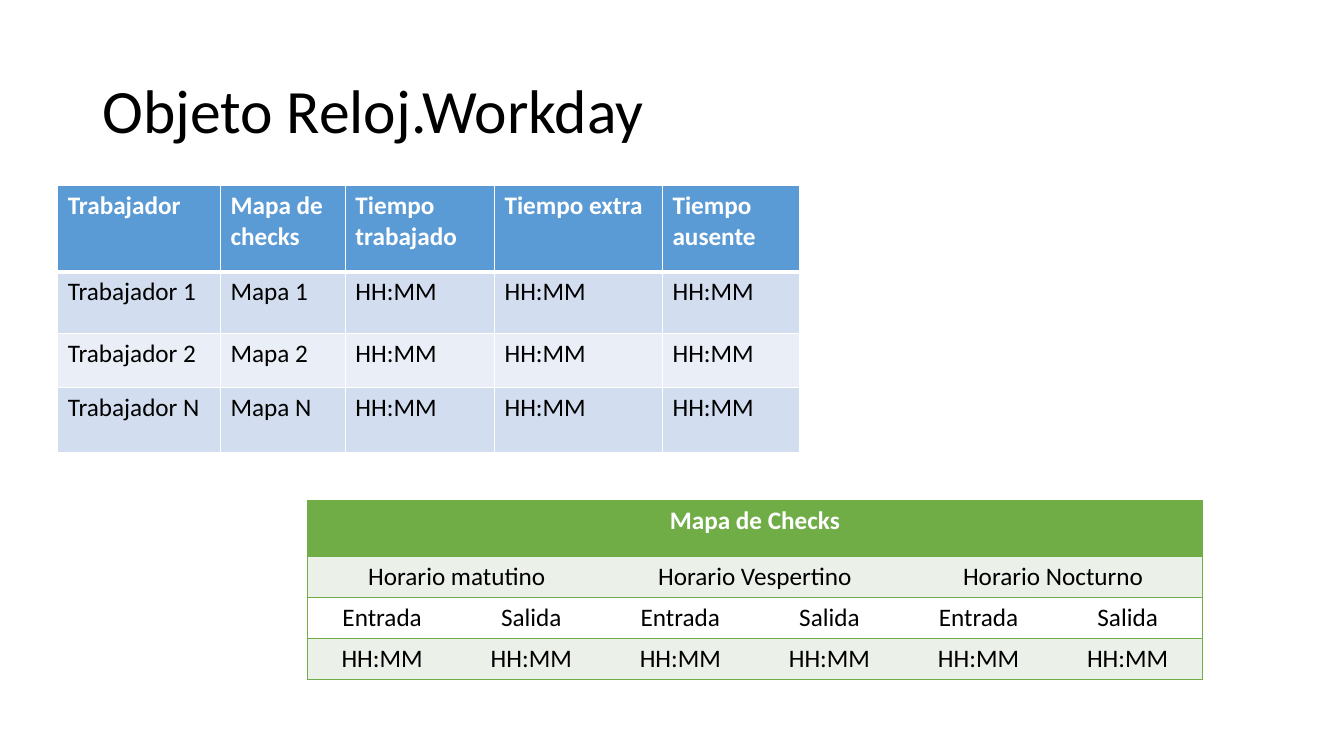
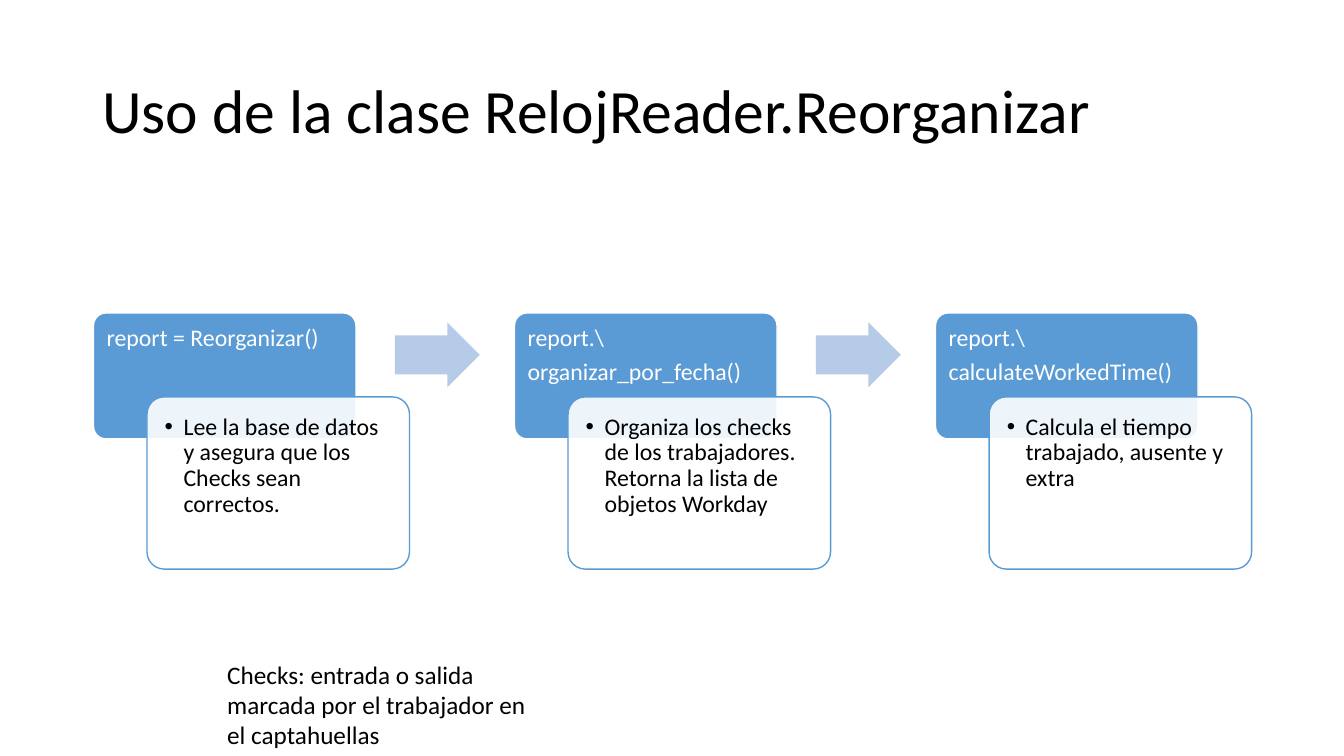
from dataclasses import dataclass
from typing import NamedTuple

from lxml.etree import SubElement
from pptx import Presentation
from pptx.dml.color import RGBColor
from pptx.enum.shapes import MSO_SHAPE
from pptx.enum.text import MSO_ANCHOR, PP_ALIGN
from pptx.oxml.ns import qn
from pptx.shapes.autoshape import Shape
from pptx.slide import Slide
from pptx.table import _Cell
from pptx.text.text import TextFrame
from pptx.util import Emu, Pt

EMU_PER_PX = 9525
FONT = "Calibri"
BLACK, WHITE = "000000", "FFFFFF"
BLUE, BLUE_BAND, BLUE_PALE, ARROW_BLUE = "5B9BD5", "D2DEEF", "EAEFF7", "B5CBE7"
GREEN, GREEN_BAND = "70AD47", "EBF1E9"
TIME = "HH:MM"


class Box(NamedTuple):
    left: int
    top: int
    width: int
    height: int


@dataclass(frozen=True)
class Grid:
    left: int
    top: int
    widths: list[int]
    heights: list[int]
    rows: list[list[str]]
    fills: list[str]
    border: str
    header_rule: int
    inner_verticals: bool
    align: PP_ALIGN


@dataclass(frozen=True)
class Step:
    call: list[str]
    purpose: str


TITLE_BOX = Box(88, 39, 1104, 139)
NOTE_BOX = Box(207, 623, 306, 97)
CALL_BOX = Box(89, 298, 250, 120)
PURPOSE_BOX = Box(140, 378, 250, 164)
ARROW_BOX = Box(376, 307, 81, 62)
STEP_PITCH = 401

WORKDAY = Grid(
    left=55,
    top=177,
    widths=[155, 119, 142, 160, 131],
    heights=[82, 59, 51, 62],
    rows=[["Trabajador", "Mapa de checks", "Tiempo trabajado", "Tiempo extra", "Tiempo ausente"]]
    + [[f"Trabajador {key}", f"Mapa {key}"] + [TIME] * 3 for key in "12N"],
    fills=[BLUE, BLUE_BAND, BLUE_PALE, BLUE_BAND],
    border=WHITE,
    header_rule=3,
    inner_verticals=True,
    align=PP_ALIGN.LEFT,
)
CHECK_MAP = Grid(
    left=293,
    top=477,
    widths=[142] * 6,
    heights=[53] + [39] * 3,
    rows=[
        ["Mapa de Checks"],
        ["Horario matutino", "Horario Vespertino", "Horario Nocturno"],
        ["Entrada", "Salida"] * 3,
        [TIME] * 6,
    ],
    fills=[GREEN, GREEN_BAND, WHITE, GREEN_BAND],
    border=GREEN,
    header_rule=1,
    inner_verticals=False,
    align=PP_ALIGN.CENTER,
)
STEPS = [
    Step(["report = Reorganizar()"], "Lee la base de datos y asegura que los Checks sean correctos."),
    Step(
        ["report.\\", "organizar_por_fecha()"],
        "Organiza los checks de los trabajadores. Retorna la lista de objetos Workday",
    ),
    Step(["report.\\", "calculateWorkedTime()"], "Calcula el tiempo trabajado, ausente y extra"),
]


def px(length: int) -> Emu:
    return Emu(length * EMU_PER_PX)


def rgb(color: str) -> RGBColor:
    return RGBColor.from_string(color)


def place(box: Box) -> list[Emu]:
    return [px(length) for length in box]


def write(
    frame: TextFrame,
    *lines: str,
    size: int = 18,
    color: str = BLACK,
    bold: bool = False,
    align: PP_ALIGN = PP_ALIGN.LEFT,
    anchor: MSO_ANCHOR = MSO_ANCHOR.TOP,
    spacing: float = 1.0,
    after: int = 0,
    inset: int | None = None,
    bullet_indent: int = 0,
) -> None:
    frame.word_wrap = True
    frame.vertical_anchor = anchor
    if inset is not None:
        frame.margin_left = frame.margin_right = px(inset)
        frame.margin_top = frame.margin_bottom = px(inset)
    for index, line in enumerate(lines):
        paragraph = frame.add_paragraph() if index else frame.paragraphs[0]
        paragraph.alignment = align
        paragraph.line_spacing = spacing
        paragraph.space_after = Pt(after)
        if bullet_indent:
            properties = paragraph._p.get_or_add_pPr()
            properties.set("marL", str(px(bullet_indent)))
            properties.set("indent", str(-px(bullet_indent)))
            SubElement(properties, qn("a:buFont"), typeface="Arial")
            SubElement(properties, qn("a:buChar"), char="•")
        run = paragraph.add_run()
        run.text = line
        run.font.name = FONT
        run.font.size = Pt(size)
        run.font.bold = bold
        run.font.color.rgb = rgb(color)


def add_title(slide: Slide, title: str) -> None:
    frame = slide.shapes.add_textbox(*place(TITLE_BOX)).text_frame
    write(frame, title, size=44, anchor=MSO_ANCHOR.MIDDLE, spacing=0.9)


def set_borders(cell: _Cell, color: str, widths: dict[str, int]) -> None:
    properties = cell._tc.get_or_add_tcPr()
    for side in "LRTB":
        width = widths[side]
        line = SubElement(properties, qn(f"a:ln{side}"), w=str(Pt(width)))
        if width:
            SubElement(SubElement(line, qn("a:solidFill")), qn("a:srgbClr"), val=color)
        else:
            SubElement(line, qn("a:noFill"))


def add_grid(slide: Slide, grid: Grid) -> None:
    columns = len(grid.widths)
    box = Box(grid.left, grid.top, sum(grid.widths), sum(grid.heights))
    table = slide.shapes.add_table(len(grid.rows), columns, *place(box)).table
    table.first_row = table.horz_banding = False
    for column, width in zip(table.columns, grid.widths):
        column.width = px(width)
    for row, (labels, height, fill) in enumerate(zip(grid.rows, grid.heights, grid.fills)):
        table.rows[row].height = px(height)
        span = columns // len(labels)
        for position, label in enumerate(labels):
            start = position * span
            cell = table.cell(row, start)
            if span > 1:
                cell.merge(table.cell(row, start + span - 1))
            widths = {
                "L": int(grid.inner_verticals or position == 0),
                "R": int(grid.inner_verticals or position == len(labels) - 1),
                "T": grid.header_rule if row == 1 else 1,
                "B": grid.header_rule if row == 0 else 1,
            }
            for column in range(start, start + span):
                part = table.cell(row, column)
                set_borders(part, grid.border, widths)
                part.fill.solid()
                part.fill.fore_color.rgb = rgb(fill)
            header = row == 0
            write(cell.text_frame, label, color=WHITE if header else BLACK, bold=header, align=grid.align)


def add_panel(
    slide: Slide,
    preset: MSO_SHAPE,
    box: Box,
    shift: int,
    fill: str,
    adjustments: list[float],
    line: str | None = None,
    opacity: int = 100,
) -> Shape:
    panel = slide.shapes.add_shape(preset, *place(box._replace(left=box.left + shift)))
    panel.shadow.inherit = False
    for index, value in enumerate(adjustments):
        panel.adjustments[index] = value
    panel.fill.solid()
    panel.fill.fore_color.rgb = rgb(fill)
    if opacity < 100:
        color = panel._element.spPr.find(qn("a:solidFill")).find(qn("a:srgbClr"))
        SubElement(color, qn("a:alpha"), val=str(opacity * 1000))
    if line:
        panel.line.color.rgb = rgb(line)
        panel.line.width = Pt(1)
    else:
        panel.line.fill.background()
    return panel


def add_step(slide: Slide, step: Step, shift: int, has_next: bool) -> None:
    rounded = MSO_SHAPE.ROUNDED_RECTANGLE
    call = add_panel(slide, rounded, CALL_BOX, shift, BLUE, [0.1], line=WHITE)
    write(call.text_frame, *step.call, size=17, color=WHITE, spacing=0.9, after=6, inset=9)
    purpose = add_panel(slide, rounded, PURPOSE_BOX, shift, WHITE, [0.1], line=BLUE, opacity=90)
    write(purpose.text_frame, step.purpose, size=17, spacing=0.9, inset=12, bullet_indent=18)
    if has_next:
        add_panel(slide, MSO_SHAPE.RIGHT_ARROW, ARROW_BOX, shift, ARROW_BLUE, [0.6, 0.5])


def main() -> None:
    deck = Presentation()
    deck.slide_width, deck.slide_height = px(1280), px(720)
    blank = deck.slide_layouts[6]

    workday = deck.slides.add_slide(blank)
    add_title(workday, "Objeto Reloj.Workday")
    for grid in (WORKDAY, CHECK_MAP):
        add_grid(workday, grid)

    usage = deck.slides.add_slide(blank)
    add_title(usage, "Uso de la clase RelojReader.Reorganizar")
    for index, step in enumerate(STEPS):
        add_step(usage, step, index * STEP_PITCH, index < len(STEPS) - 1)
    note = usage.shapes.add_textbox(*place(NOTE_BOX)).text_frame
    write(note, "Checks: entrada o salida marcada por el trabajador en el captahuellas")

    deck.save("out.pptx")


if __name__ == "__main__":
    main()
